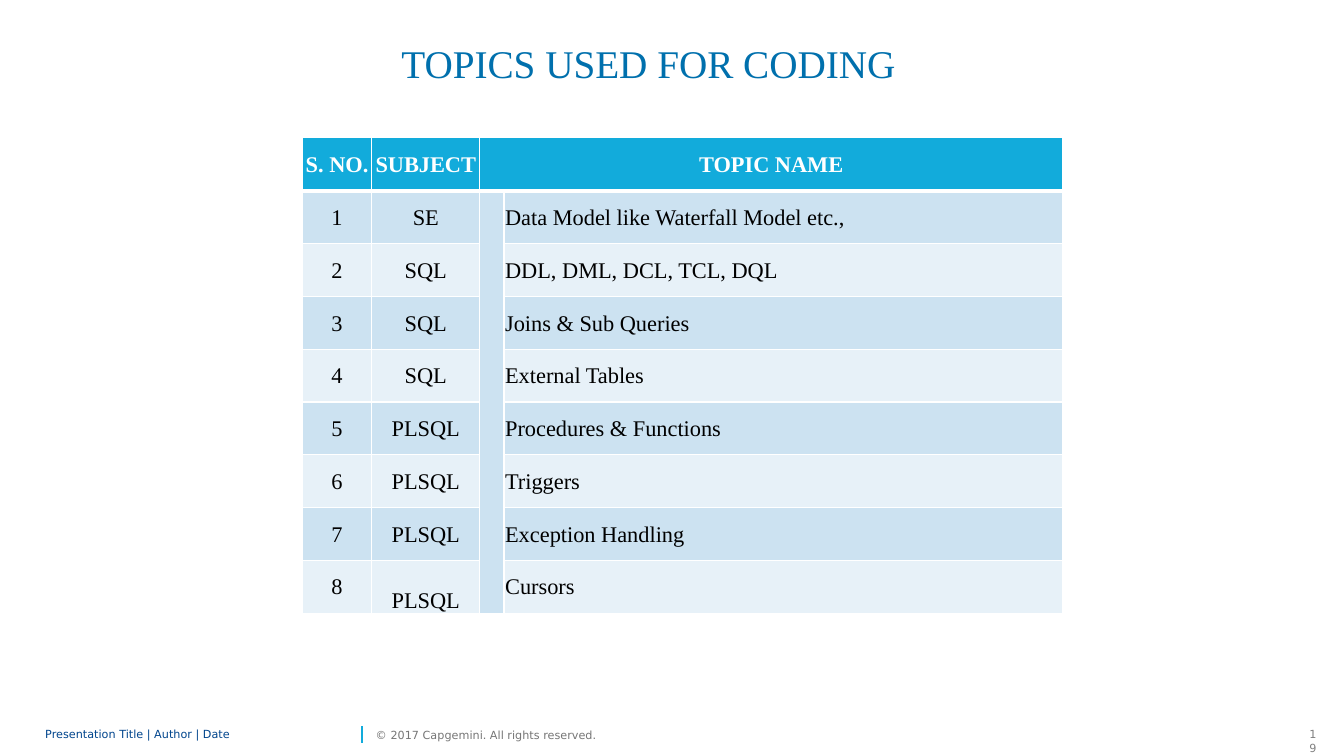
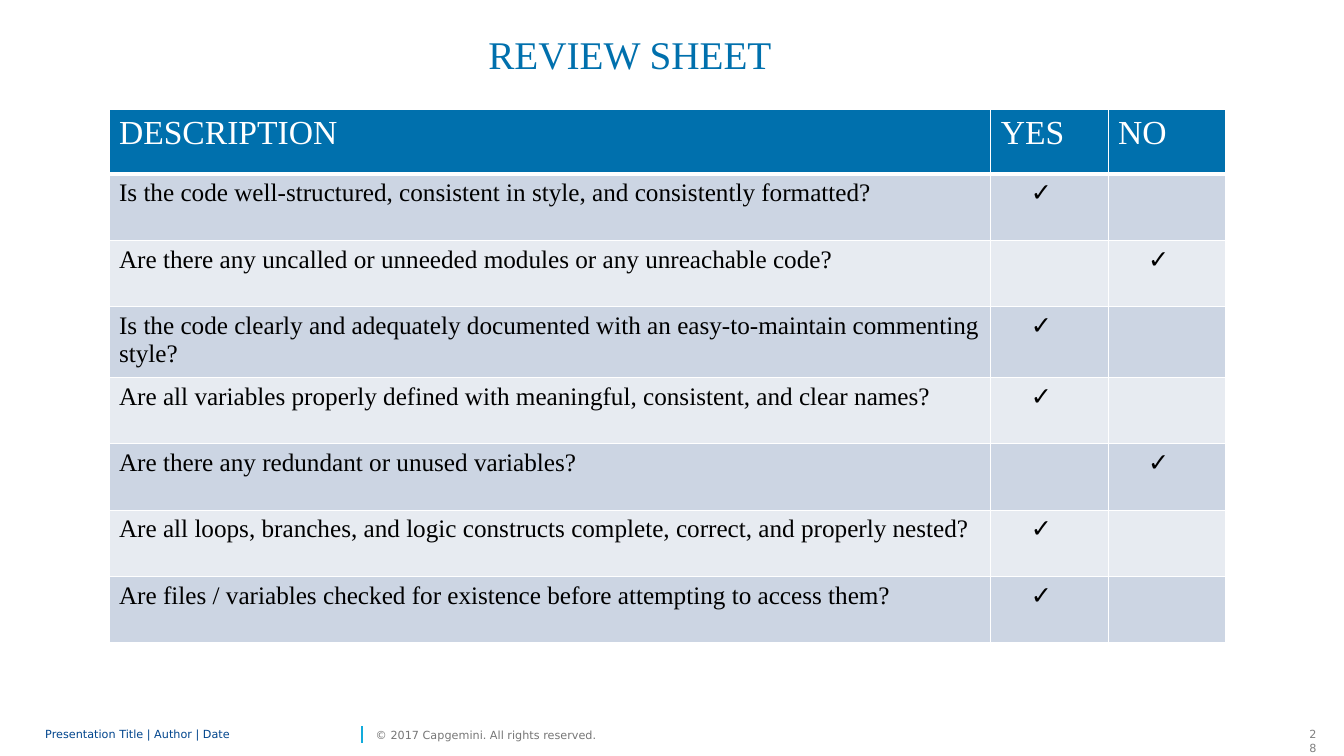
import pptx
import pptx.dml.color
import pptx.enum.shapes
import pptx.enum.text
import pptx.oxml.ns
import pptx.util
from lxml import etree

Cm = pptx.util.Cm
Pt = pptx.util.Pt
RGBColor = pptx.dml.color.RGBColor
Align = pptx.enum.text.PP_ALIGN
Anchor = pptx.enum.text.MSO_ANCHOR
qn = pptx.oxml.ns.qn

WHITE = RGBColor(0xFF, 0xFF, 0xFF)
BLACK = RGBColor(0x00, 0x00, 0x00)
BLUE = RGBColor(0x00, 0x70, 0xAD)
CYAN = RGBColor(0x12, 0xAB, 0xDB)
NAVY = RGBColor(0x00, 0x45, 0x8D)
COPYRIGHT_GREY = RGBColor(0x76, 0x76, 0x76)
NUMBER_GREY = RGBColor(0x80, 0x80, 0x80)
TOPIC_BANDS = (RGBColor(0xCC, 0xE2, 0xF1), RGBColor(0xE7, 0xF1, 0xF8))
REVIEW_BANDS = (RGBColor(0xCC, 0xD5, 0xE3), RGBColor(0xE7, 0xEB, 0xF1))

SERIF = "Times New Roman"
SANS = "DejaVu Sans"
FOOTER_TOP = Cm(18.21)
FOOTER_HEIGHT = Cm(0.61)
NO_MARGINS = (0, 0, 0, 0)
TEXT_MARGINS = (Cm(0.25), Cm(0.13), Cm(0.25), Cm(0.13))
TIGHT_MARGINS = (Cm(0.03), Cm(0.03), Cm(0.03), 0)
CHECK = "✓"
CHECK_INDENT = Cm(0.79)

TOPICS = [
    ("SE", "Data Model like Waterfall Model etc.,"),
    ("SQL", "DDL, DML, DCL, TCL, DQL"),
    ("SQL", "Joins & Sub Queries"),
    ("SQL", "External Tables"),
    ("PLSQL", "Procedures & Functions"),
    ("PLSQL", "Triggers"),
    ("PLSQL", "Exception Handling"),
    ("PLSQL", "Cursors"),
]
REVIEW = [
    ("Is the code well-structured, consistent in style, and consistently formatted?", True),
    ("Are there any uncalled or unneeded modules or any unreachable code?", False),
    ("Is the code clearly and adequately documented with an easy-to-maintain "
     "commenting style?", True),
    ("Are all variables properly defined with meaningful, consistent, and clear names?", True),
    ("Are there any redundant or unused variables?", False),
    ("Are all loops, branches, and logic constructs complete, correct, and properly nested?",
     True),
    ("Are files / variables checked for existence before attempting to access them?", True),
]


def set_margins(target, margins):
    """Apply left, top, right and bottom margins to a cell or text frame."""
    (target.margin_left, target.margin_top,
     target.margin_right, target.margin_bottom) = margins


def write(paragraph, text, size, color, font=SERIF, bold=False, align=Align.LEFT):
    paragraph.alignment = align
    run = paragraph.add_run()
    run.text = text
    run.font.name = font
    run.font.size = Pt(size)
    run.font.bold = bold
    run.font.color.rgb = color


def add_text(slide, box, text, size, color, margins=NO_MARGINS, anchor=Anchor.TOP,
             spacing=1.0, **style):
    frame = slide.shapes.add_textbox(*box).text_frame
    frame.word_wrap = True
    frame.vertical_anchor = anchor
    set_margins(frame, margins)
    paragraph = frame.paragraphs[0]
    paragraph.line_spacing = spacing
    write(paragraph, text, size, color, **style)


def add_title(slide, box, text, **layout):
    add_text(slide, box, text, 28, BLUE, align=Align.CENTER, **layout)


def add_footer(slide, number):
    add_text(slide, (Cm(32.74), FOOTER_TOP, Cm(0.69), FOOTER_HEIGHT), str(number),
             8, NUMBER_GREY, TEXT_MARGINS, font=SANS, align=Align.RIGHT)
    divider = slide.shapes.add_connector(
        pptx.enum.shapes.MSO_CONNECTOR.STRAIGHT, Cm(9.12), Cm(18.72), Cm(9.12), Cm(18.29))
    divider.line.color.rgb = CYAN
    divider.line.width = Pt(1)
    etree.SubElement(divider._element.spPr, qn("a:effectLst"))
    add_text(slide, (Cm(1.14), FOOTER_TOP, Cm(7.85), FOOTER_HEIGHT),
             "Presentation Title | Author | Date", 8, NAVY,
             anchor=Anchor.MIDDLE, spacing=0.85, font=SANS)
    add_text(slide, (Cm(9.47), FOOTER_TOP, Cm(6.17), FOOTER_HEIGHT),
             "© 2017 Capgemini. All rights reserved.", 8, COPYRIGHT_GREY,
             anchor=Anchor.MIDDLE, font=SANS)


def set_borders(cell, top, bottom):
    """Draw white borders, 1 pt at the sides and as given above and below."""
    properties = cell._tc.get_or_add_tcPr()
    widths = {"a:lnL": 1, "a:lnR": 1, "a:lnT": top, "a:lnB": bottom}
    for position, (tag, width) in enumerate(widths.items()):
        border = etree.Element(qn(tag), w=str(Pt(width)))
        fill = etree.SubElement(border, qn("a:solidFill"))
        etree.SubElement(fill, qn("a:srgbClr"), val=str(WHITE))
        properties.insert(position, border)


def add_grid(slide, left, top, widths, heights, header_color, bands):
    """Add an empty table with a coloured header, banded rows and white borders."""
    table = slide.shapes.add_table(len(heights), len(widths), left, top,
                                   sum(widths), sum(heights)).table
    table.first_row = False
    table.horz_banding = False
    for column, width in zip(table.columns, widths):
        column.width = width
    for index, (row, height) in enumerate(zip(table.rows, heights)):
        row.height = height
        for cell in row.cells:
            cell.fill.solid()
            cell.fill.fore_color.rgb = bands[(index - 1) % 2] if index else header_color
            set_borders(cell, top=3 if index == 1 else 1, bottom=1 if index else 3)
    return table


def fill_cell(cell, text, size, color, margins=TEXT_MARGINS, anchor=Anchor.TOP, **style):
    set_margins(cell, margins)
    cell.vertical_anchor = anchor
    write(cell.text_frame.paragraphs[0], text, size, color, **style)


def tick_cell(cell):
    """Mark a cell with a check bullet; a bullet only draws beside some text."""
    properties = cell.text_frame.paragraphs[0]._p.get_or_add_pPr()
    properties.set("marL", str(CHECK_INDENT))
    properties.set("indent", str(-CHECK_INDENT))
    etree.SubElement(properties, qn("a:buFont"), typeface=SANS)
    etree.SubElement(properties, qn("a:buChar"), char=CHECK)
    fill_cell(cell, " ", 18, BLACK, align=Align.CENTER)


def add_topics_slide(slide):
    add_footer(slide, 19)
    widths = [Cm(1.75), Cm(2.72), Cm(0.61), Cm(14.08)]
    table = add_grid(slide, Cm(7.62), Cm(3.47), widths,
                     [Cm(1.34)] + [Cm(1.33)] * len(TOPICS), CYAN, TOPIC_BANDS)
    table.cell(0, 2).merge(table.cell(0, 3))
    table.cell(1, 2).merge(table.cell(len(TOPICS), 2))
    for column, heading in enumerate(("S. NO.", "SUBJECT", "TOPIC NAME")):
        fill_cell(table.cell(0, column), heading, 16, WHITE, TIGHT_MARGINS,
                  Anchor.MIDDLE, bold=True, align=Align.CENTER)
    for row, (subject, topic) in enumerate(TOPICS, 1):
        subject_anchor = Anchor.BOTTOM if row == len(TOPICS) else Anchor.MIDDLE
        fill_cell(table.cell(row, 0), str(row), 16, BLACK, TIGHT_MARGINS,
                  Anchor.MIDDLE, align=Align.CENTER)
        fill_cell(table.cell(row, 1), subject, 16, BLACK, TIGHT_MARGINS,
                  subject_anchor, align=Align.CENTER)
        fill_cell(table.cell(row, 3), topic, 16, BLACK, TIGHT_MARGINS, Anchor.MIDDLE)
    add_title(slide, (Cm(1.14), Cm(1.12), Cm(30.4), Cm(2.39)),
              "TOPICS USED FOR CODING", spacing=0.9)


def add_review_slide(slide):
    add_footer(slide, 28)
    add_title(slide, (Cm(2.96), Cm(0.64), Cm(25.83), Cm(1.45)), "REVIEW SHEET",
              margins=TEXT_MARGINS)
    table = add_grid(slide, Cm(2.75), Cm(2.75), [Cm(22.22), Cm(2.96), Cm(2.96)],
                     [Cm(1.64)] + [Cm(1.67)] * len(REVIEW), BLUE, REVIEW_BANDS)
    for column, heading in enumerate(("DESCRIPTION", "YES", "NO")):
        fill_cell(table.cell(0, column), heading, 24, WHITE)
    for row, (question, is_yes) in enumerate(REVIEW, 1):
        fill_cell(table.cell(row, 0), question, 18, BLACK)
        tick_cell(table.cell(row, 1 if is_yes else 2))


def main():
    presentation = pptx.Presentation()
    presentation.slide_width = Cm(33.87)
    presentation.slide_height = Cm(19.05)
    blank = presentation.slide_layouts[6]
    for build in (add_topics_slide, add_review_slide):
        build(presentation.slides.add_slide(blank))
    presentation.save("out.pptx")


if __name__ == "__main__":
    main()
